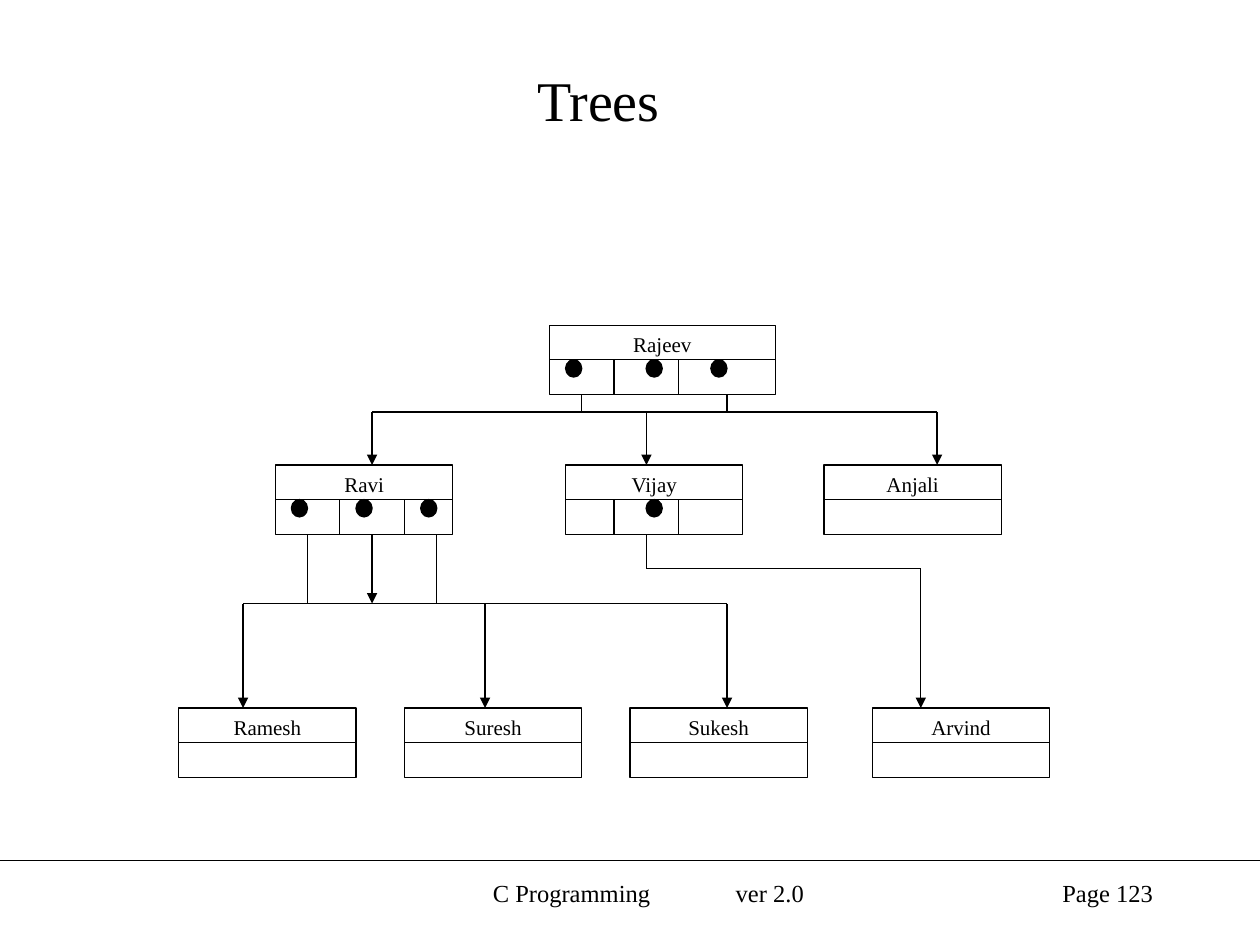
"""Build the Trees slide: a family tree drawn as linked nodes, with a footer."""
from lxml.etree import SubElement
from pptx import Presentation
from pptx.dml.color import RGBColor
from pptx.enum.shapes import MSO_CONNECTOR, MSO_SHAPE
from pptx.enum.text import MSO_ANCHOR, PP_ALIGN
from pptx.oxml.ns import qn
from pptx.util import Pt

BLACK, WHITE = "000000", "FFFFFF"
TOP, MID, LOW = 185.8, 265.7, 404.6
H, HALF = 39.6, 19.8
BUS1, BUS2, BUS3 = 235.4, 344.9, 324.7
FORMAT = {"name": "Times New Roman", "size": Pt(12)}


def write(tf, text, size, align, anchor):
    tf.word_wrap = True
    tf.vertical_anchor = anchor
    p = tf.paragraphs[0]
    p.alignment = align
    r = p.add_run()
    r.text = text
    for key, value in {**FORMAT, "size": Pt(size)}.items():
        setattr(r.font, key, value)
    r.font.color.rgb = RGBColor.from_string(BLACK)
    return p


def line(x1, y1, x2, y2, arrow=False):
    sp = s.shapes.add_connector(MSO_CONNECTOR.STRAIGHT, Pt(x1), Pt(y1), Pt(x2), Pt(y2))
    sp.line.width = Pt(0.75)
    sp.line.color.rgb = RGBColor.from_string(BLACK)
    if arrow:
        SubElement(sp.line._get_or_add_ln(), qn("a:tailEnd"), type="triangle")
    SubElement(sp._element.spPr, qn("a:effectLst"))


prs = Presentation()
prs.slide_width, prs.slide_height = Pt(720), Pt(540)
s = prs.slides.add_slide(prs.slide_layouts[5])

title = s.shapes.title
title.left, title.top, title.width, title.height = Pt(36), Pt(18), Pt(612), Pt(77.8)
write(title.text_frame, "Trees", 32, PP_ALIGN.CENTER, MSO_ANCHOR.MIDDLE)

line(0, 491.8, 720, 491.8)
footers = [
    (246.2, 246.2, 35.4, "C Programming\tver 2.0", PP_ALIGN.LEFT),
    (516.2, 149.8, 7.2, "Page 123", PP_ALIGN.RIGHT),
]
for x, w, inset, text, align in footers:
    sp = s.shapes.add_textbox(Pt(x), Pt(498.2), Pt(w), Pt(36))
    sp.text_frame.margin_left = Pt(inset)
    p = write(sp.text_frame, text, 14, align, MSO_ANCHOR.TOP)
    if "\t" in text:
        tabs = SubElement(p._p.get_or_add_pPr(), qn("a:tabLst"))
        SubElement(tabs, qn("a:tab"), pos=str(Pt(138.8)), algn="l")

nodes = [
    ("Rajeev", 313.9, TOP, 129.2, (350.8, 387.9), (323.2, 369.2, 406.2)),
    ("Ravi", 157.5, MID, 101.3, (194.2, 231.2), (166.5, 203.4, 240.4)),
    ("Vijay", 323.2, MID, 101.3, (350.8, 387.9), (369.2,)),
    ("Anjali", 470.9, MID, 101.3, (), ()),
    ("Ramesh", 102.2, LOW, 101.3, (), ()),
    ("Suresh", 231.1, LOW, 101.3, (), ()),
    ("Sukesh", 360, LOW, 101.3, (), ()),
    ("Arvind", 498.5, LOW, 101.3, (), ()),
]
for name, x, y, w, dividers, dots in nodes:
    sp = s.shapes.add_shape(MSO_SHAPE.RECTANGLE, Pt(x), Pt(y), Pt(w), Pt(H))
    sp.shadow.inherit = False
    sp.fill.solid()
    sp.fill.fore_color.rgb = RGBColor.from_string(WHITE)
    sp.line.color.rgb = RGBColor.from_string(BLACK)
    sp.line.width = Pt(0.75)
    write(sp.text_frame, name, 12, PP_ALIGN.CENTER, MSO_ANCHOR.TOP)
    line(x, y + HALF, x + w, y + HALF)
    for dx in dividers:
        line(dx, y + HALF, dx, y + H)
    for dx in dots:
        dot = s.shapes.add_shape(MSO_SHAPE.OVAL, Pt(dx), Pt(y + HALF), Pt(9.2), Pt(9.9))
        dot.shadow.inherit = False
        dot.fill.solid()
        dot.fill.fore_color.rgb = RGBColor.from_string(BLACK)
        dot.line.color.rgb = RGBColor.from_string(BLACK)
        dot.line.width = Pt(0.75)

for x1, x2, y in [(212.6, 535.5, BUS1), (138.9, 415.5, BUS2), (369.4, 526.2, BUS3)]:
    line(x1, y, x2, y)

drops = [
    ((332.5, 415.5), TOP + H, BUS1, False),
    ((212.6, 369.4, 535.5), BUS1, MID, True),
    ((175.7, 249.5), MID + H, BUS2, False),
    ((212.6,), MID + H, BUS2, True),
    ((138.9, 277.2, 415.5), BUS2, LOW, True),
    ((369.4,), MID + H, BUS3, False),
    ((526.2,), BUS3, LOW, True),
]
for xs, y1, y2, arrow in drops:
    for x in xs:
        line(x, y1, x, y2, arrow)

prs.save("out.pptx")
